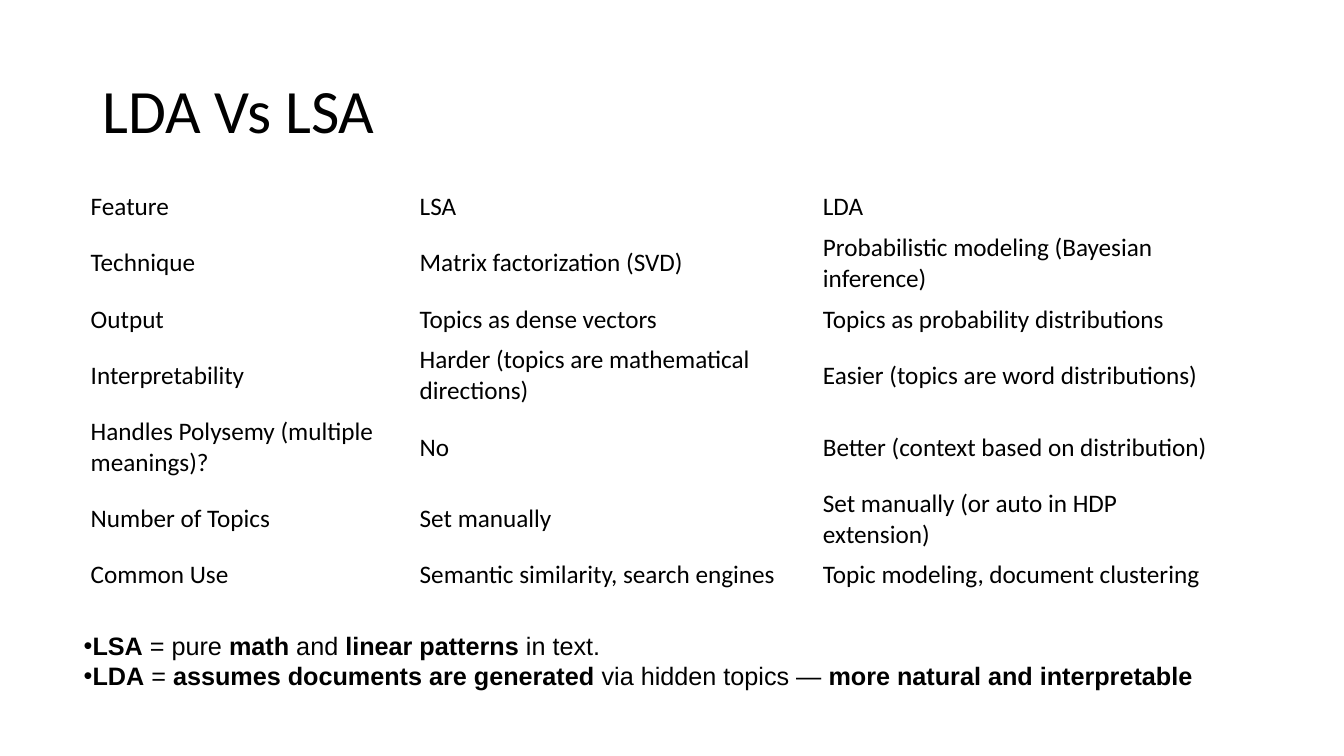
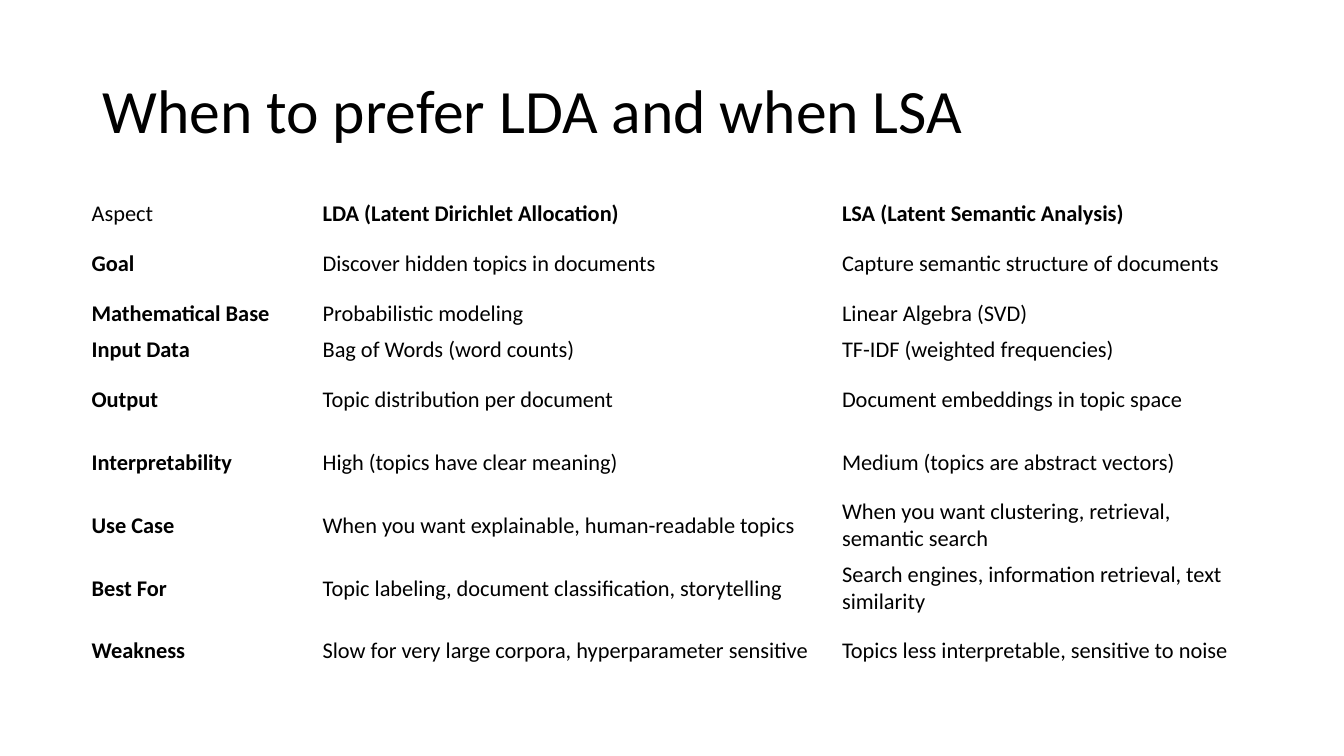
import lxml.etree
import pptx
import pptx.dml.color
import pptx.enum.text
import pptx.oxml.ns
import pptx.util

Pt = pptx.util.Pt
MIDDLE = pptx.enum.text.MSO_ANCHOR.MIDDLE


def color(value):
    return pptx.dml.color.RGBColor.from_string(value)


class Deck:
    """Holds the shared style and the current slide."""

    INK = "000000"
    HEAD_FONT = "Calibri"
    LIST_FONT = "Arial"
    TITLE_BOX = (66, 29, 828, 104)
    TITLE_SIZE = 44
    LIST_SIZE = 18

    def __init__(self):
        self.prs = pptx.Presentation()
        self.prs.slide_width, self.prs.slide_height = Pt(960), Pt(540)
        self.s = None

    def style(self, p, name, size):
        p.font.name, p.font.size = name, Pt(size)
        p.font.color.rgb = color(self.INK)
        p.alignment = pptx.enum.text.PP_ALIGN.LEFT

    def place(self, sp, box):
        sp.left, sp.top, sp.width, sp.height = map(Pt, box)
        tf = sp.text_frame
        tf.word_wrap = True
        tf.auto_size = pptx.enum.text.MSO_AUTO_SIZE.NONE
        tf.vertical_anchor = MIDDLE
        return tf

    def slide(self, title, layout):
        self.s = self.prs.slides.add_slide(self.prs.slide_layouts.get_by_name(layout))
        tf = self.place(self.s.shapes.title, self.TITLE_BOX)
        tf.text = title
        p = tf.paragraphs[0]
        p.line_spacing = 0.9
        self.style(p, self.HEAD_FONT, self.TITLE_SIZE)

    def table(self, rows, left, top, widths, heights, size, inset, bold=lambda r, c: False):
        frame = self.s.shapes.add_table(
            len(rows), len(widths), Pt(left), Pt(top), Pt(sum(widths)), Pt(sum(heights)))
        table = frame.table
        table.first_row = table.horz_banding = False
        for column, width in zip(table.columns, widths):
            column.width = Pt(width)
        for r, (texts, height) in enumerate(zip(rows, heights)):
            table.rows[r].height = Pt(height)
            for c, text in enumerate(texts):
                cell = table.cell(r, c)
                cell.fill.background()
                cell.vertical_anchor = MIDDLE
                cell.margin_left = cell.margin_right = Pt(inset[0])
                cell.margin_top = cell.margin_bottom = Pt(inset[1])
                cell.text = text
                p = cell.text_frame.paragraphs[0]
                self.style(p, self.HEAD_FONT, size)
                p.font.bold = bold(r, c)

    def bullets(self, items, box):
        tf = self.place(self.s.placeholders[1], box)
        for i, item in enumerate(items):
            p = tf.add_paragraph() if i else tf.paragraphs[0]
            self.style(p, self.LIST_FONT, self.LIST_SIZE)
            p.space_before = Pt(0)
            pPr = p._p.get_or_add_pPr()
            pPr.set("marL", "0")
            pPr.set("indent", "0")
            bullet = lxml.etree.Element(pptx.oxml.ns.qn("a:buChar"), char="•")
            pPr.find(pptx.oxml.ns.qn("a:spcBef")).addnext(bullet)
            for k, part in enumerate(item.split("**")):
                if part:
                    r = p.add_run()
                    r.text = part
                    r.font.bold = k % 2 == 1


FEATURES = [
    ("Feature", "LSA", "LDA"),
    ("Technique", "Matrix factorization (SVD)", "Probabilistic modeling (Bayesian inference)"),
    ("Output", "Topics as dense vectors", "Topics as probability distributions"),
    ("Interpretability", "Harder (topics are mathematical directions)",
     "Easier (topics are word distributions)"),
    ("Handles Polysemy (multiple meanings)?", "No", "Better (context based on distribution)"),
    ("Number of Topics", "Set manually", "Set manually (or auto in HDP extension)"),
    ("Common Use", "Semantic similarity, search engines", "Topic modeling, document clustering"),
]

SUMMARY = [
    "**LSA** = pure **math** and **linear patterns** in text.",
    "**LDA** = **assumes documents are generated** via hidden topics — "
    "**more natural and interpretable**",
]

ASPECTS = [
    ("Aspect", "LDA (Latent Dirichlet Allocation)", "LSA (Latent Semantic Analysis)"),
    ("Goal", "Discover hidden topics in documents", "Capture semantic structure of documents"),
    ("Mathematical Base", "Probabilistic modeling", "Linear Algebra (SVD)"),
    ("Input Data", "Bag of Words (word counts)", "TF-IDF (weighted frequencies)"),
    ("Output", "Topic distribution per document", "Document embeddings in topic space"),
    ("Interpretability", "High (topics have clear meaning)", "Medium (topics are abstract vectors)"),
    ("Use Case", "When you want explainable, human-readable topics",
     "When you want clustering, retrieval, semantic search"),
    ("Best For", "Topic labeling, document classification, storytelling",
     "Search engines, information retrieval, text similarity"),
    ("Weakness", "Slow for very large corpora, hyperparameter sensitive",
     "Topics less interpretable, sensitive to noise"),
]


def main():
    deck = Deck()

    deck.slide("LDA Vs LSA", "Title and Content")
    short, tall = 29.2, 51.2
    deck.table(FEATURES, 57.6, 133.2, (235, 288, 305),
               (short, tall, short, tall, tall, short, short), 18, (7.2, 3.6))
    deck.bullets(SUMMARY, (52.6, 446.4, 818.6, 51))

    deck.slide("When to prefer LDA and when LSA", "Title Only")
    short, tall = 26.3, 44.8
    deck.table(ASPECTS, 59, 139.7, (165, 371, 299),
               (short, tall, short, short) + (tall,) * 5, 16, (6.5, 2.9),
               bold=lambda r, c: (r == 0) != (c == 0))

    deck.prs.save("out.pptx")


if __name__ == "__main__":
    main()
